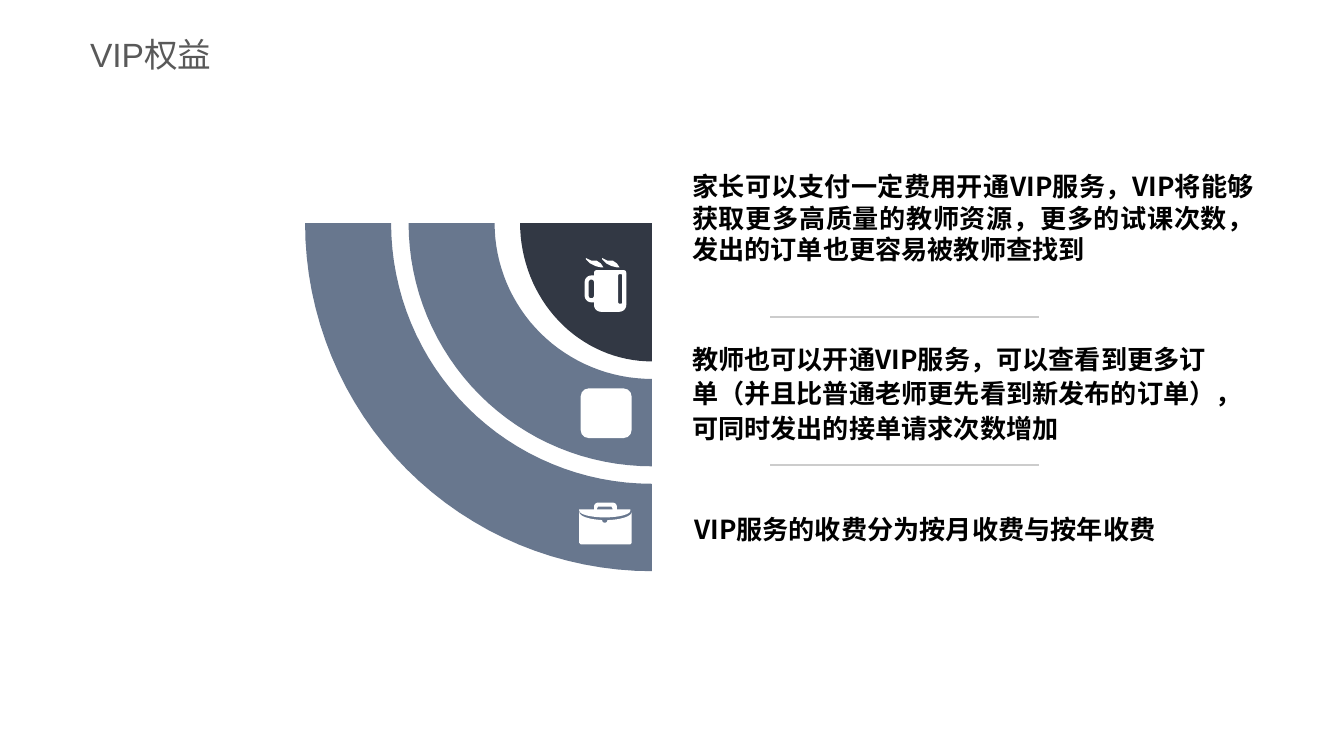
from math import cos, pi, sin

from lxml.etree import SubElement
from pptx import Presentation
from pptx.dml.color import RGBColor
from pptx.enum.shapes import MSO_CONNECTOR, MSO_SHAPE
from pptx.enum.text import MSO_ANCHOR, MSO_AUTO_SIZE, PP_ALIGN
from pptx.oxml.ns import qn
from pptx.util import Inches, Pt

WHITE = RGBColor(0xFF, 0xFF, 0xFF)
BLACK = RGBColor(0, 0, 0)
SLATE = RGBColor(0x68, 0x77, 0x8E)
NAVY = RGBColor(0x32, 0x38, 0x44)
RULE_GRAY = RGBColor(0xCC, 0xCC, 0xCC)
TITLE_GRAY = RGBColor(0x59, 0x59, 0x59)
CJK_FONT = "Noto Sans CJK SC"


def paint(shape, color):
    """Give a shape a flat fill with no line or shadow."""
    shape.shadow.inherit = False
    shape.fill.solid()
    shape.fill.fore_color.rgb = color
    shape.line.fill.background()


def arc(cx, cy, rx, ry, start, end, steps=32):
    """Return points on an ellipse, angles in degrees clockwise from the right."""
    angles = [(start + (end - start) * i / steps) * pi / 180 for i in range(steps + 1)]
    return [(cx + rx * cos(a), cy + ry * sin(a)) for a in angles]


def rounded(left, top, right, bottom, r):
    """Return the outline of a rounded rectangle."""
    corners = [(right - r, bottom - r), (left + r, bottom - r),
               (left + r, top + r), (right - r, top + r)]
    return [point for i, (cx, cy) in enumerate(corners)
            for point in arc(cx, cy, r, r, 90 * i, 90 * i + 90, 6)]


def draw_outline(slide, left, top, contours, color):
    """Draw closed contours, given relative to left and top, as one shape."""
    placed = [[(Inches(left + x), Inches(top + y)) for x, y in c] for c in contours]
    builder = slide.shapes.build_freeform(*placed[0][0], scale=1.0)
    builder.add_line_segments(placed[0][1:], close=True)
    for contour in placed[1:]:
        builder.move_to(*contour[0])
        builder.add_line_segments(contour[1:], close=True)
    paint(builder.convert_to_shape(), color)


def add_mug(slide, left, top):
    """Draw a steaming mug."""
    body = (arc(0.26, 0.35, 0.05, 0.05, 0, 90, 6) + arc(0.12, 0.35, 0.05, 0.05, 90, 180, 6)
            + [(0.07, 0.33)] + arc(0.05, 0.28, 0.05, 0.05, 90, 180, 6)
            + arc(0.05, 0.18, 0.05, 0.05, 180, 270, 6) + [(0.07, 0.13)]
            + arc(0.09, 0.11, 0.02, 0.02, 180, 270, 6)
            + arc(0.29, 0.11, 0.02, 0.02, 270, 360, 6))
    steam = [(0.01, 0), (0.05, 0.02), (0.09, 0.02), (0.12, 0.04), (0.14, 0.07),
             (0.12, 0.07), (0.08, 0.06), (0.04, 0.04), (0.01, 0.01)]
    contours = [body, rounded(0.03, 0.16, 0.07, 0.3, 0.02),
                rounded(0.25, 0.12, 0.28, 0.34, 0.01),
                steam, [(x + 0.12, y) for x, y in steam]]
    draw_outline(slide, left, top, contours, WHITE)


def add_briefcase(slide, left, top):
    """Draw a briefcase with a flap, a clasp and a handle."""
    case = ([(0, 0.07)] + arc(0.195, 0.07, 0.195, 0.06, 180, 100, 10)
            + arc(0.19, 0.13, 0.02, 0.02, 180, 0, 6)
            + arc(0.195, 0.07, 0.195, 0.06, 80, 0, 10)
            + [(0.39, 0.3), (0.38, 0.31), (0.01, 0.31), (0, 0.3)])
    flap = ([(0, 0.05), (0.11, 0.05)] + arc(0.14, 0.03, 0.03, 0.03, 180, 270, 6)
            + arc(0.25, 0.03, 0.03, 0.03, 270, 360, 6) + [(0.28, 0.05), (0.38, 0.05)]
            + arc(0.19, 0.06, 0.19, 0.05, 0, 180, 16))
    opening = [(0.13, 0.05), (0.14, 0.03), (0.24, 0.03), (0.25, 0.05)]
    draw_outline(slide, left, top, [case, flap, opening], WHITE)


def add_arches(slide, right, top):
    """Draw three nested quarter rings with icons; right and top is their centre."""
    rings = [((1.81, 1.81), (1.17, 1.16), SLATE), ((0.98, 1.03), (0, 0), NAVY),
             ((2.58, 2.59), (1.94, 1.94), SLATE)]
    for outer, inner, color in rings:
        contour = arc(0, 0, *outer, 90, 180) + arc(0, 0, *inner, 180, 90)
        draw_outline(slide, right, top, [contour], color)
    add_mug(slide, right - 0.5, top + 0.26)
    badge = slide.shapes.add_shape(MSO_SHAPE.ROUNDED_RECTANGLE, Inches(right - 0.53),
                                   Inches(top + 1.23), Inches(0.38), Inches(0.37))
    paint(badge, WHITE)
    add_briefcase(slide, right - 0.54, top + 2.08)


def add_run(paragraph, text, size, color, font, bold):
    """Add one run with its Latin and East Asian fonts."""
    run = paragraph.add_run()
    run.text = text
    run.font.size = Pt(size)
    run.font.bold = bold
    run.font.color.rgb = color
    run.font.name = font
    SubElement(run.font._element, qn("a:ea"), typeface=CJK_FONT)


def set_insets(frame, vertical):
    """Wrap the text and set its margins."""
    frame.word_wrap = True
    frame.margin_left = frame.margin_right = 0
    frame.margin_top = frame.margin_bottom = Inches(vertical)


def add_benefit(slide, box, text, align, spacing):
    """Place one bold benefit statement in its box."""
    frame = slide.shapes.add_textbox(*map(Inches, box)).text_frame
    set_insets(frame, 0)
    paragraph = frame.paragraphs[0]
    paragraph.alignment = align
    paragraph.line_spacing = spacing
    add_run(paragraph, text, 14, BLACK, CJK_FONT, True)


def add_benefits(slide, left, top):
    """Place the three benefits and the rules between them."""
    benefits = [
        ((left, top, 4.18, 0.94), PP_ALIGN.JUSTIFY, 1.0,
         "家长可以支付一定费用开通VIP服务，VIP将能够获取更多高质量的教师资源，"
         "更多的试课次数，发出的订单也更容易被教师查找到"),
        ((left, top + 1.26, 3.94, 0.76), PP_ALIGN.LEFT, 1.1,
         "教师也可以开通VIP服务，可以查看到更多订单（并且比普通老师更先看到新发布的订单），"
         "可同时发出的接单请求次数增加"),
        ((left - 0.41, top + 2.5, 3.86, 0.74), PP_ALIGN.RIGHT, 1.2,
         "VIP服务的收费分为按月收费与按年收费"),
    ]
    for box, align, spacing, text in benefits:
        add_benefit(slide, box, text, align, spacing)
    for rule_top in (top + 1.09, top + 2.19):
        rule = slide.shapes.add_connector(
            MSO_CONNECTOR.STRAIGHT, Inches(left + 0.58), Inches(rule_top),
            Inches(left + 2.58), Inches(rule_top))
        rule.line.color.rgb = RULE_GRAY
        rule.line.width = Pt(0.75)
        SubElement(rule._element.spPr, qn("a:effectLst"))


def set_title(slide, left, top, width, height):
    """Place the slide title."""
    title = slide.shapes.title
    title.left, title.top = Inches(left), Inches(top)
    title.width, title.height = Inches(width), Inches(height)
    frame = title.text_frame
    set_insets(frame, 0.05)
    frame.auto_size = MSO_AUTO_SIZE.NONE
    frame.vertical_anchor = MSO_ANCHOR.MIDDLE
    frame.paragraphs[0].alignment = PP_ALIGN.LEFT
    add_run(frame.paragraphs[0], "VIP权益", 18, TITLE_GRAY, "Arial", False)


def build():
    """Build the VIP benefits slide in 16:9."""
    deck = Presentation()
    deck.slide_width = Inches(10)
    deck.slide_height = deck.slide_width * 9 // 16
    slide = deck.slides.add_slide(deck.slide_layouts[5])
    add_arches(slide, 4.85, 1.66)
    add_benefits(slide, 5.15, 1.27)
    set_title(slide, 0.67, 0.19, 2.33, 0.42)
    deck.save("out.pptx")


build()
